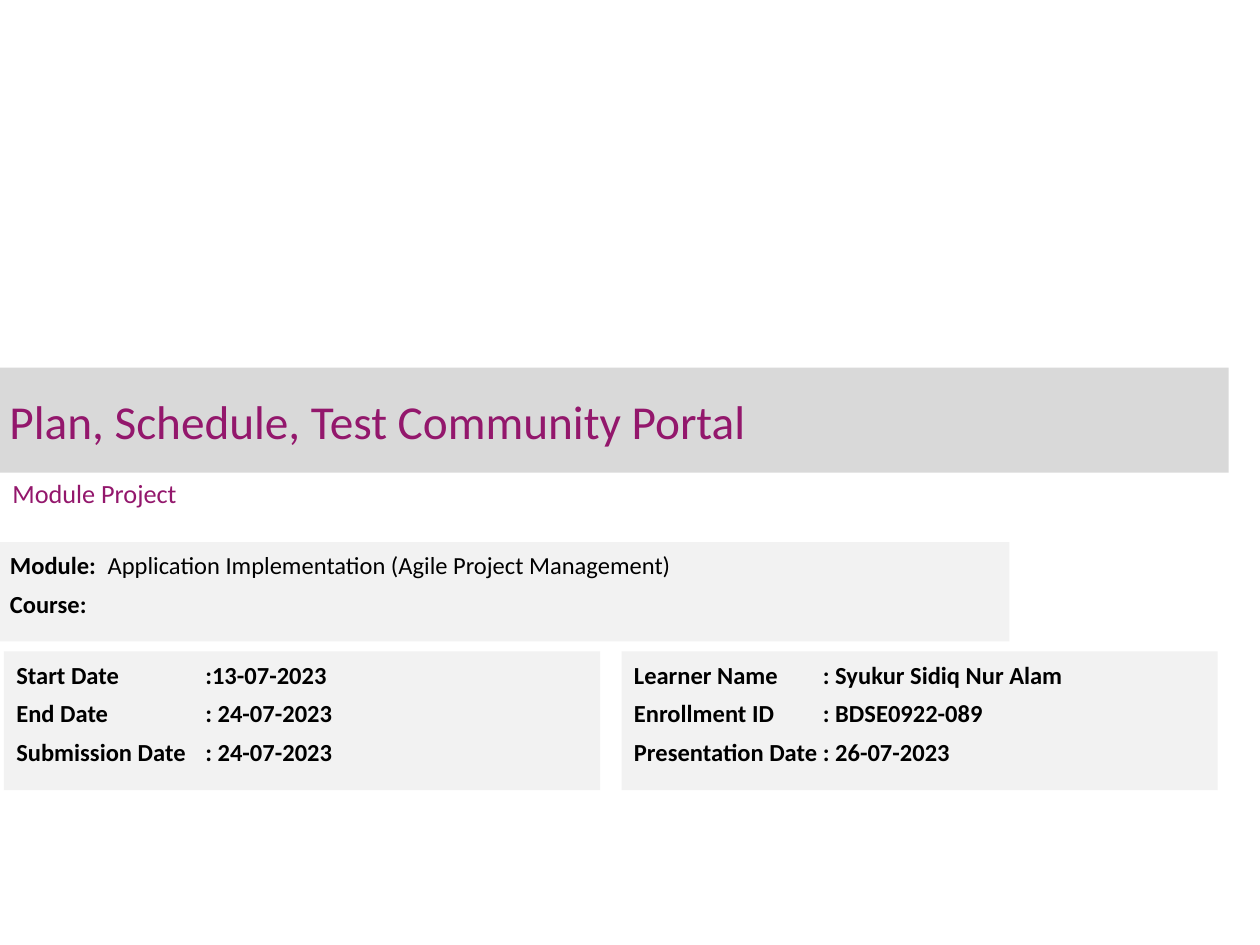
import pptx
import pptx.util
from lxml import etree
from pptx.dml.color import RGBColor
from pptx.enum.shapes import MSO_SHAPE
from pptx.enum.text import MSO_ANCHOR, MSO_AUTO_SIZE, PP_ALIGN
from pptx.oxml.ns import qn
from pptx.util import Cm

PLUM = RGBColor(0x93, 0x17, 0x6C)
BLACK = RGBColor(0x00, 0x00, 0x00)
BAND_GREY = RGBColor(0xD9, 0xD9, 0xD9)
PANEL_GREY = RGBColor(0xF2, 0xF2, 0xF2)


class CoverBuilder:
    font_name = "Calibri"
    heading_size = 27
    subtitle_size = 15
    detail_size = 14

    def __init__(self, page):
        self.page = page

    def style(self, paragraph, size, color, bold=False):
        paragraph.alignment = PP_ALIGN.LEFT
        paragraph.font.name = self.font_name
        paragraph.font.size = pptx.util.Pt(size)
        paragraph.font.bold = bold
        paragraph.font.color.rgb = color

    def title(self, text, left, top, width, height):
        box = self.page.shapes.title
        box.left, box.top, box.width, box.height = map(Cm, (left, top, width, height))
        box.fill.solid()
        box.fill.fore_color.rgb = BAND_GREY
        frame = box.text_frame
        frame.text = text
        frame.word_wrap = True
        frame.auto_size = MSO_AUTO_SIZE.NONE
        frame.vertical_anchor = MSO_ANCHOR.MIDDLE
        frame.margin_left = frame.margin_right = Cm(0.19)
        frame.margin_top = frame.margin_bottom = Cm(0.1)
        self.style(frame.paragraphs[0], self.heading_size, PLUM)

    def subtitle(self, text, left, top, width, height):
        box = self.page.shapes.add_textbox(*map(Cm, (left, top, width, height)))
        frame = box.text_frame
        frame.text = text
        frame.word_wrap = True
        frame.vertical_anchor = MSO_ANCHOR.MIDDLE
        self.style(frame.paragraphs[0], self.subtitle_size, PLUM)

    def tab_stop(self, paragraph, position):
        properties = paragraph._p.get_or_add_pPr()
        stops = etree.Element(qn("a:tabLst"))
        etree.SubElement(stops, qn("a:tab"), pos=str(Cm(position)), algn="l")
        properties.find(qn("a:defRPr")).addprevious(stops)

    def panel(self, rows, left, top, width, height, tab, bold_values=True):
        box = self.page.shapes.add_shape(
            MSO_SHAPE.RECTANGLE, *map(Cm, (left, top, width, height))
        )
        box.shadow.inherit = False
        box.fill.solid()
        box.fill.fore_color.rgb = PANEL_GREY
        box.line.fill.background()
        frame = box.text_frame
        frame.word_wrap = True
        frame.vertical_anchor = MSO_ANCHOR.TOP
        for index, (label, value) in enumerate(rows):
            para = frame.paragraphs[0] if index == 0 else frame.add_paragraph()
            para.line_spacing = pptx.util.Pt(18)
            para.space_before = para.space_after = pptx.util.Pt(2)
            self.style(para, self.detail_size, BLACK, bold=True)
            para.add_run().text = label
            if value:
                self.tab_stop(para, tab)
                span = para.add_run()
                span.text = "\t" + value
                if not bold_values:
                    span.font.bold = False


def main():
    deck = pptx.Presentation()
    deck.slide_width, deck.slide_height = Cm(25.4), Cm(19.05)
    cover = CoverBuilder(deck.slides.add_slide(deck.slide_layouts[5]))

    cover.title("Plan, Schedule, Test Community Portal", 0, 7.41, 24.77, 2.12)
    cover.subtitle("Module Project", 0, 9.15, 16.3, 1.58)
    cover.panel(
        [
            ("Module:", "Application Implementation (Agile Project Management)"),
            ("Course:", ""),
        ],
        -0.05, 10.93, 20.4, 2, tab=1.97, bold_values=False,
    )

    dates = [
        ("Start Date", ":13-07-2023"),
        ("End Date", ": 24-07-2023"),
        ("Submission Date", ": 24-07-2023"),
    ]
    learner = [
        ("Learner Name", ": Syukur Sidiq Nur Alam"),
        ("Enrollment ID", ": BDSE0922-089"),
        ("Presentation Date", ": 26-07-2023"),
    ]
    for column, rows in enumerate((dates, learner)):
        cover.panel(rows, 0.08 + column * 12.45, 13.13, 12.02, 2.8, tab=3.81)

    deck.save("out.pptx")


if __name__ == "__main__":
    main()
